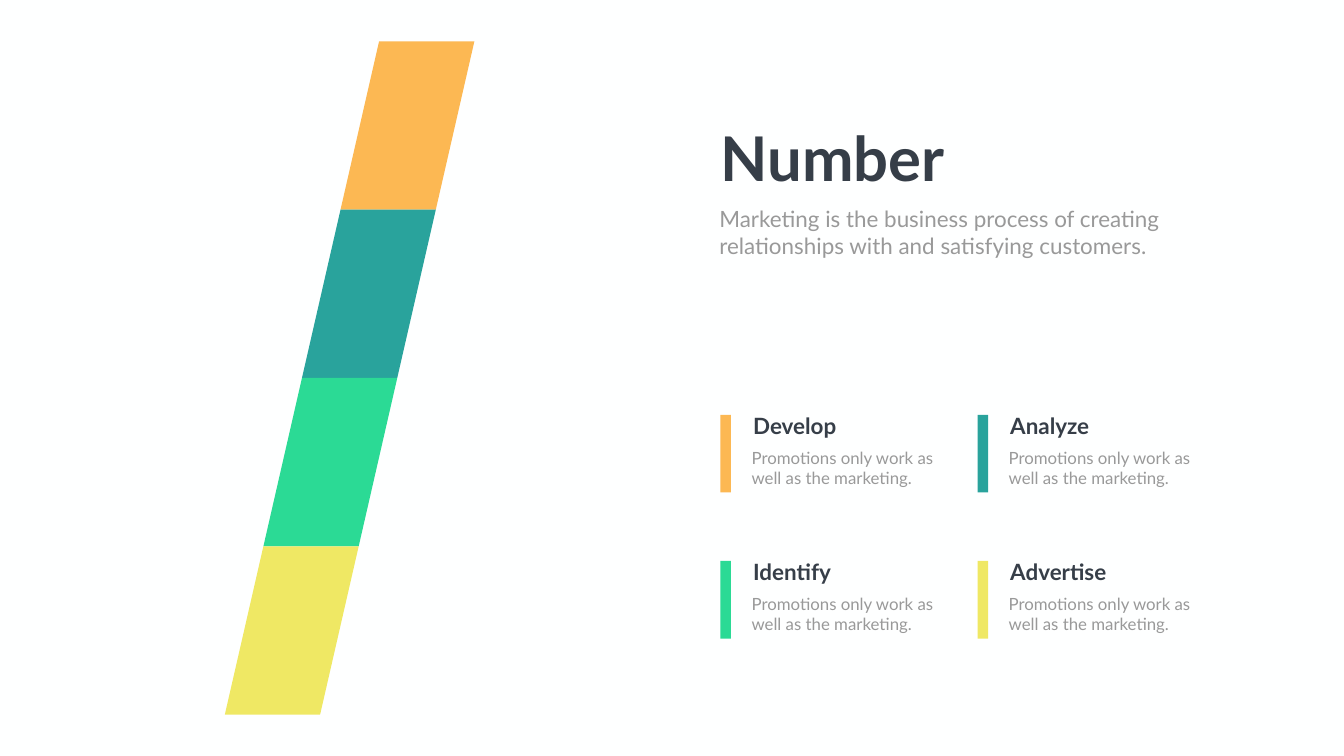
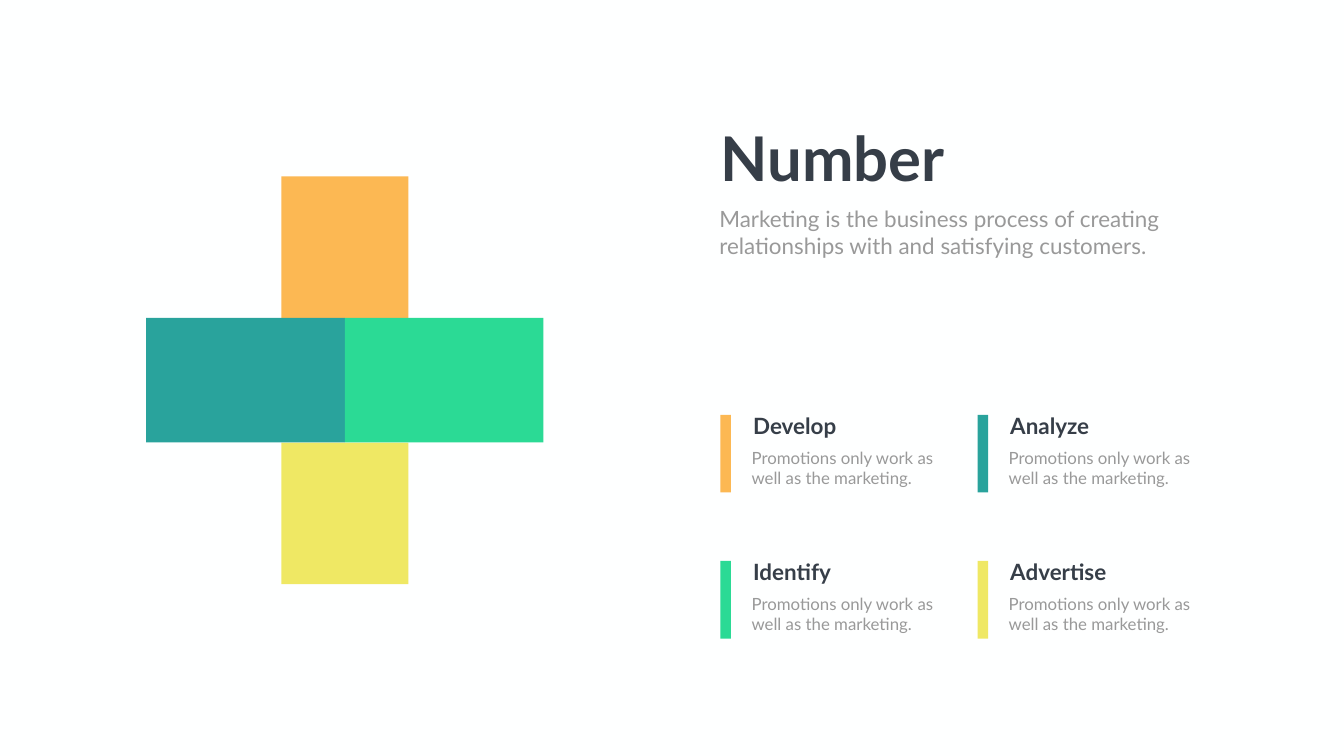
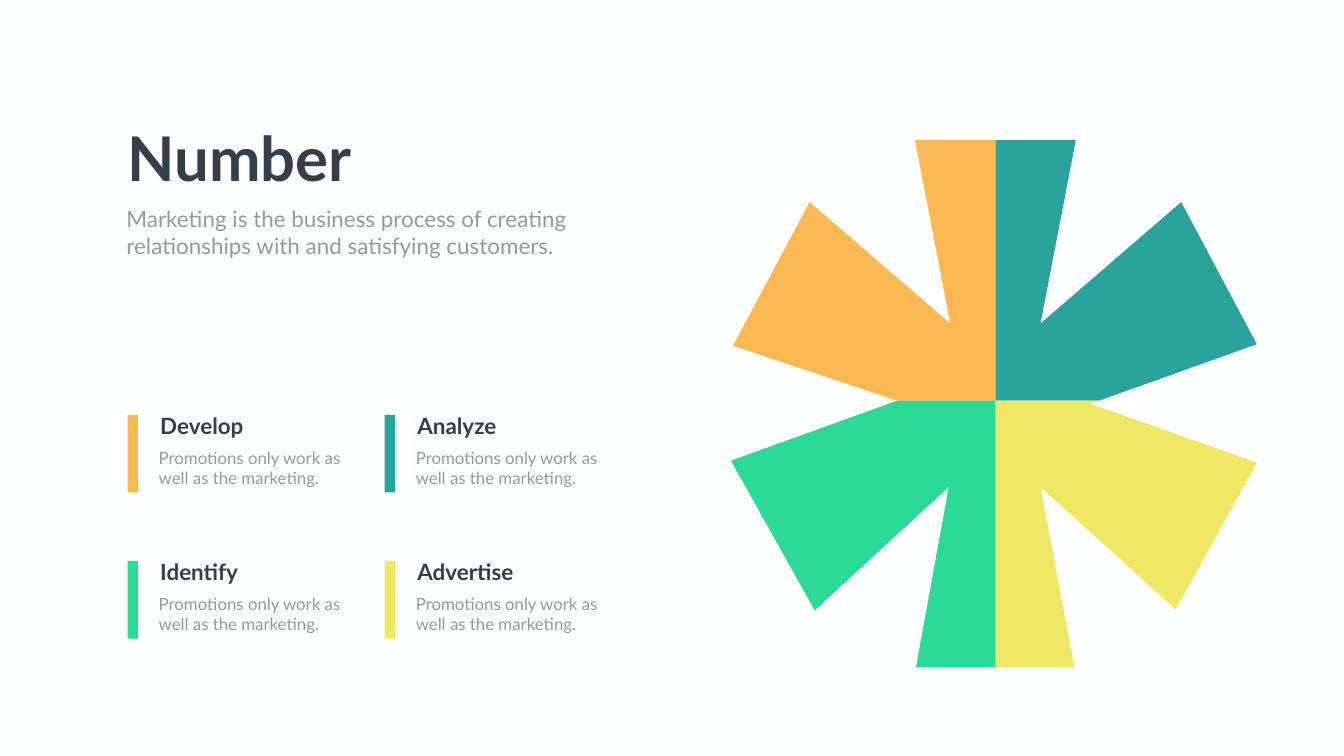
"""Builds three slides that pair a four-colour symbol with a four-item panel."""
from dataclasses import dataclass

from pptx import Presentation
from pptx.dml.color import RGBColor
from pptx.enum.shapes import MSO_SHAPE
from pptx.enum.text import MSO_ANCHOR, MSO_AUTO_SIZE, PP_ALIGN
from pptx.util import Inches, Pt


@dataclass(frozen=True)
class Theme:
    cols: float = 26.66
    rows: float = 15
    cell: int = Inches(1)
    font: str = "Lato"
    back: str = "FEFFFF"
    ink: str = "363E48"
    muted: str = "999999"
    orange: str = "FCB853"
    teal: str = "29A39C"
    green: str = "2BDA95"
    yellow: str = "EFE864"
    title: int = 88
    lead: int = 32
    body: int = 24

    @property
    def accents(self):
        return self.orange, self.teal, self.green, self.yellow


LEAD = ("Marketing is the business process of creating",
        "relationships with and satisfying customers.")
ITEMS = ("Develop", "Analyze", "Identify", "Advertise")
ITEM_TEXT = "Promotions only work as well as the marketing."
ITEM_COL, ITEM_ROW = 5.1, 2.9
PANEL_RIGHT, PANEL_LEFT = 14.29, 2.53

ASTERISK = (
    ((16.06, 4.01), (14.54, 6.86), (17.79, 7.95), (19.75, 7.95),
     (19.75, 2.78), (18.15, 2.78), (18.85, 6.42)),
    ((21.8, 7.95), (24.93, 6.83), (23.43, 4.01), (20.64, 6.42),
     (21.34, 2.78), (19.75, 2.78), (19.75, 7.95)),
    ((17.8, 7.95), (14.5, 9.14), (16.16, 12.11), (18.82, 9.66),
     (18.17, 13.24), (19.75, 13.24), (19.75, 7.95)),
    ((23.32, 12.09), (24.93, 9.18), (21.63, 8.01), (21.8, 7.95),
     (19.75, 7.95), (19.75, 13.24), (21.31, 13.24), (20.64, 9.66)),
)


class Deck:
    def __init__(self, theme):
        self.theme = theme
        self.prs = Presentation()
        self.prs.slide_width, self.prs.slide_height = self.grid(theme.cols, theme.rows)
        self.paint(self.prs.slide_master.background, theme.back)
        self.s = None

    def grid(self, *cells):
        return [round(n * self.theme.cell) for n in cells]

    def paint(self, target, color):
        target.fill.solid()
        target.fill.fore_color.rgb = RGBColor.from_string(color)

    def slide(self):
        self.s = self.prs.slides.add_slide(self.prs.slide_layouts[5])

    def finish(self, sp, color):
        self.paint(sp, color)
        sp.line.fill.background()
        sp.shadow.inherit = False

    def rect(self, x, y, w, h, color):
        sp = self.s.shapes.add_shape(MSO_SHAPE.RECTANGLE, *self.grid(x, y, w, h))
        self.finish(sp, color)

    def polygon(self, points, color):
        start, *rest = [self.grid(*point) for point in points]
        outline = self.s.shapes.build_freeform(*start)
        outline.add_line_segments(rest, close=True)
        self.finish(outline.convert_to_shape(), color)

    def set_text(self, sp, lines, size, color, bold=False):
        tf = sp.text_frame
        frame = {"word_wrap": True, "auto_size": MSO_AUTO_SIZE.SHAPE_TO_FIT_TEXT,
                 "vertical_anchor": MSO_ANCHOR.TOP}
        for name, value in frame.items():
            setattr(tf, name, value)
        fmt = {"name": self.theme.font, "size": Pt(size), "bold": bold}
        for i, line in enumerate(lines):
            p = tf.add_paragraph() if i else tf.paragraphs[0]
            p.alignment = PP_ALIGN.LEFT
            r = p.add_run()
            r.text = line
            for name, value in fmt.items():
                setattr(r.font, name, value)
            r.font.color.rgb = RGBColor.from_string(color)

    def title(self, x, y, w, h, text):
        sp = self.s.shapes.title
        sp.left, sp.top, sp.width, sp.height = self.grid(x, y, w, h)
        self.set_text(sp, [text], self.theme.title, self.theme.ink, True)

    def text(self, x, y, w, h, lines, size, color, bold=False):
        sp = self.s.shapes.add_textbox(*self.grid(x, y, w, h))
        self.set_text(sp, lines, size, color, bold)

    def item(self, x, y, name, color):
        t = self.theme
        self.rect(x, y, 0.21, 1.54, color)
        self.text(x + 0.55, y - 0.1, 2.61, 0.64, [name], t.lead, t.ink, True)
        self.text(x + 0.52, y + 0.6, 4.01, 0.91, [ITEM_TEXT], t.body, t.muted)

    def panel(self, x):
        t = self.theme
        self.title(x - 0.1, 2.33, 10.73, 1.58, "Number")
        self.text(x - 0.12, 4.03, 9.08, 1.18, LEAD, t.lead, t.muted)
        for i, (name, color) in enumerate(zip(ITEMS, t.accents)):
            row, col = divmod(i, 2)
            self.item(x + col * ITEM_COL, 8.23 + row * ITEM_ROW, name, color)

    def slash(self, x, y, w, h, lean):
        n = len(self.theme.accents)
        for i, color in enumerate(self.theme.accents):
            (x1, y1), (x2, y2) = [(x - lean * k / n, y + h * k / n) for k in (i, i + 1)]
            self.polygon([(x1, y1), (x1 + w, y1), (x2 + w, y2), (x2, y2)], color)

    def plus(self, cx, y, stem, arm):
        t = self.theme
        (stem_w, stem_h), (arm_w, arm_h) = stem, arm
        self.rect(cx - stem_w / 2, y, stem_w, stem_h, t.orange)
        self.rect(cx - stem_w / 2, y + stem_h + arm_h, stem_w, stem_h, t.yellow)
        self.rect(cx - arm_w, y + stem_h, arm_w, arm_h, t.teal)
        self.rect(cx, y + stem_h, arm_w, arm_h, t.green)

    def asterisk(self):
        for points, color in zip(ASTERISK, self.theme.accents):
            self.polygon(points, color)


def main():
    deck = Deck(Theme())

    deck.slide()
    deck.slash(7.52, 0.82, 1.89, 13.36, 3.06)
    deck.panel(PANEL_RIGHT)

    deck.slide()
    deck.plus(6.84, 3.5, (2.52, 2.81), (3.94, 2.47))
    deck.panel(PANEL_RIGHT)

    deck.slide()
    deck.asterisk()
    deck.panel(PANEL_LEFT)

    deck.prs.save("out.pptx")


if __name__ == "__main__":
    main()
